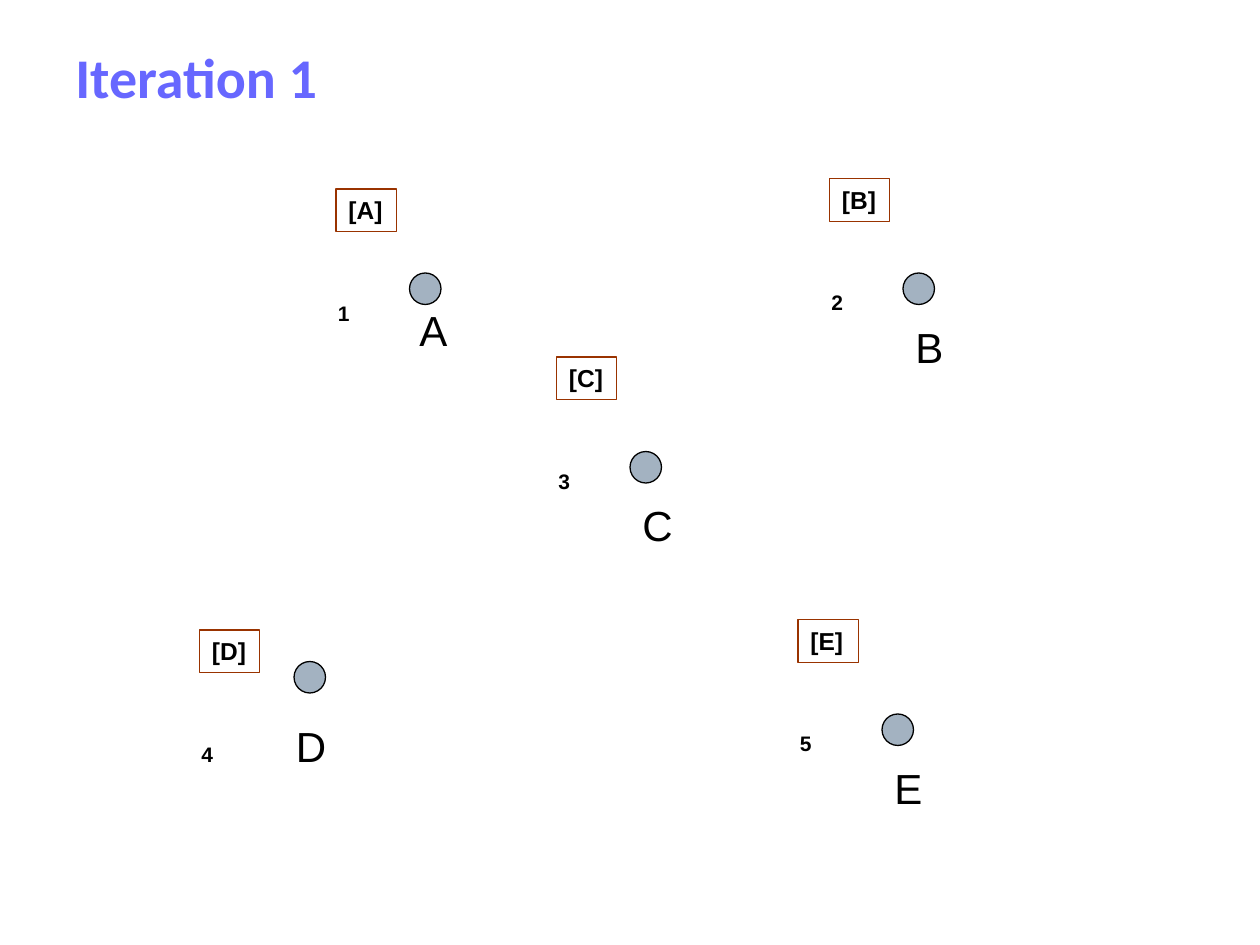
from pptx import Presentation
from pptx.util import Pt
from pptx.dml.color import RGBColor
from pptx.enum import shapes, text

HUES = {"title": "6767FF", "ink": "000000", "dot": "A3B2C1", "frame": "993300"}
FORMS = {
    "title": {"size": Pt(32), "name": "Calibri", "bold": True},
    "letter": {"size": Pt(24), "name": "Arial", "bold": False},
    "number": {"size": Pt(12), "name": "Arial", "bold": True},
    "tag": {"size": Pt(14), "name": "Arial", "bold": True},
}
# name, dot, letter and tag positions
NODES = [
    ("A", (234, 156), (232.5, 170.5), (192, 108)),
    ("B", (516, 156), (516, 180), (474, 102)),
    ("C", (360, 258), (360, 282), (318, 204)),
    ("D", (168, 378), (162, 408), (114, 360)),
    ("E", (504, 408), (504, 432), (456, 354)),
]
DOT = 18
DROP = (-6, 60)

deck = Presentation()
deck.slide_width, deck.slide_height = Pt(720), Pt(540)
slide = deck.slides.add_slide(deck.slide_layouts[6])


def color(hue):
    return RGBColor.from_string(HUES[hue])


def outline(shape, hue):
    shape.line.color.rgb = color(hue)
    shape.line.width = Pt(0.75)


def label(words, spot, size, form, hue="ink"):
    box = slide.shapes.add_textbox(*map(Pt, spot + size))
    frame = box.text_frame
    frame.word_wrap = False
    frame.auto_size = text.MSO_AUTO_SIZE.SHAPE_TO_FIT_TEXT
    run = frame.paragraphs[0].add_run()
    run.text = words
    for key, value in FORMS[form].items():
        setattr(run.font, key, value)
    run.font.color.rgb = color(hue)
    return box


title = label("Iteration 1", (36, 21.6), (648, 44.6), "title", "title")
title.text_frame.word_wrap = True
title.text_frame.auto_size = text.MSO_AUTO_SIZE.NONE
title.text_frame.vertical_anchor = text.MSO_ANCHOR.BOTTOM

for rank, (name, spot, under, corner) in enumerate(NODES, 1):
    dot = slide.shapes.add_shape(
        shapes.MSO_SHAPE.OVAL, *map(Pt, spot + (DOT, DOT)))
    dot.shadow.inherit = False
    dot.fill.solid()
    dot.fill.fore_color.rgb = color("dot")
    outline(dot, "ink")
    label(name, under, (27, 28.8), "letter")
    below = tuple(a + b for a, b in zip(corner, DROP))
    label(str(rank), below, (20.9, 21.6), "number")
    outline(label(f"[{name}]", corner, (34.5, 24.5), "tag"), "frame")

deck.save("out.pptx")
